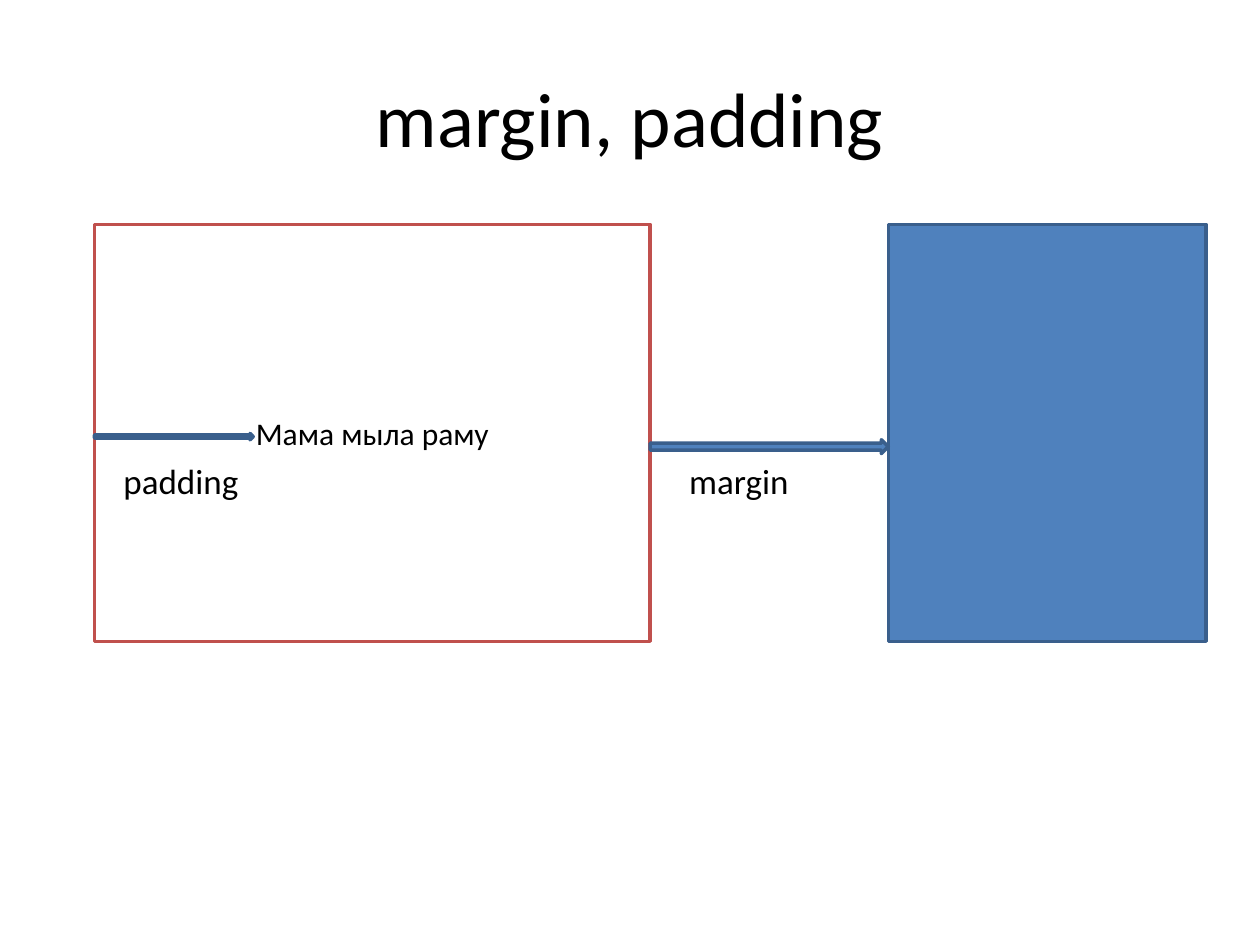
import pptx
import pptx.util
import pptx.dml.color
import pptx.enum.shapes
import pptx.enum.text

Inches, Pt = pptx.util.Inches, pptx.util.Pt
Color = pptx.dml.color.RGBColor.from_string
Shape = pptx.enum.shapes.MSO_SHAPE
Align = pptx.enum.text.PP_ALIGN
Anchor = pptx.enum.text.MSO_ANCHOR

theme = {
    "font": "Calibri", "text": "000000", "white": "FFFFFF",
    "red": "C0504D", "blue": "4F81BD", "navy": "3A5F8C",
    "title": 44, "label": 20, "body": 18, "line": 2,
}

deck = pptx.Presentation()
deck.slide_width, deck.slide_height = Inches(10), Inches(7.5)
slide = deck.slides.add_slide(deck.slide_layouts[6])


def write(shape, text, size, align):
    frame = shape.text_frame
    frame.word_wrap = True
    frame.vertical_anchor = Anchor.MIDDLE
    para = frame.paragraphs[0]
    para.text = text
    para.alignment = align
    para.font.name = theme["font"]
    para.font.size = Pt(theme[size])
    para.font.color.rgb = Color(theme["text"])


def draw(kind, box, fill, line):
    shape = slide.shapes.add_shape(kind, *map(Inches, box))
    shape.shadow.inherit = False
    shape.fill.solid()
    shape.fill.fore_color.rgb = Color(theme[fill])
    shape.line.color.rgb = Color(theme[line])
    shape.line.width = Pt(theme["line"])
    return shape


# Title
title = slide.shapes.add_textbox(*map(Inches, (0.5, 0.3, 9, 1.25)))
write(title, "margin, padding", "title", Align.CENTER)

# Boxes
left, top, width, height = 0.75, 1.78, 4.41, 3.31
gap = 1.89
right = left + width
frame = draw(Shape.RECTANGLE, (left, top, width, height), "white", "red")
write(frame, "Мама мыла раму", "body", Align.CENTER)
draw(Shape.RECTANGLE, (right + gap, top, 2.52, height), "blue", "navy")

# Arrows for the inner and outer distance
for box in ((left, 3.44, 1.26, 0.05), (right, 3.49, gap, 0.11)):
    draw(Shape.RIGHT_ARROW, box, "blue", "navy")

# Labels under the arrows
for text, x in (("padding", 0.98), ("margin", 5.47)):
    label = slide.shapes.add_textbox(*map(Inches, (x, 3.64, 1.2, 0.34)))
    write(label, text, "label", Align.LEFT)
    inner = label.text_frame
    inner.margin_left = inner.margin_right = 0
    inner.margin_top = inner.margin_bottom = 0

deck.save("out.pptx")
